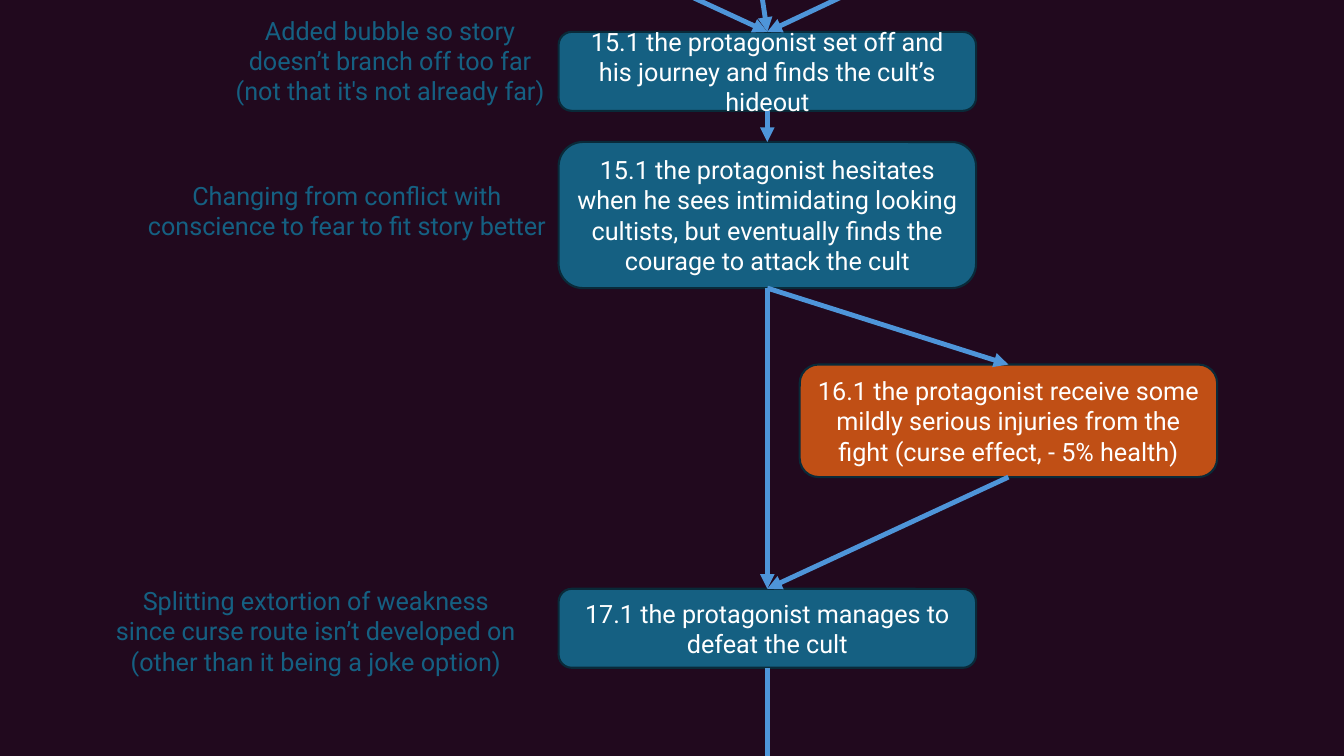
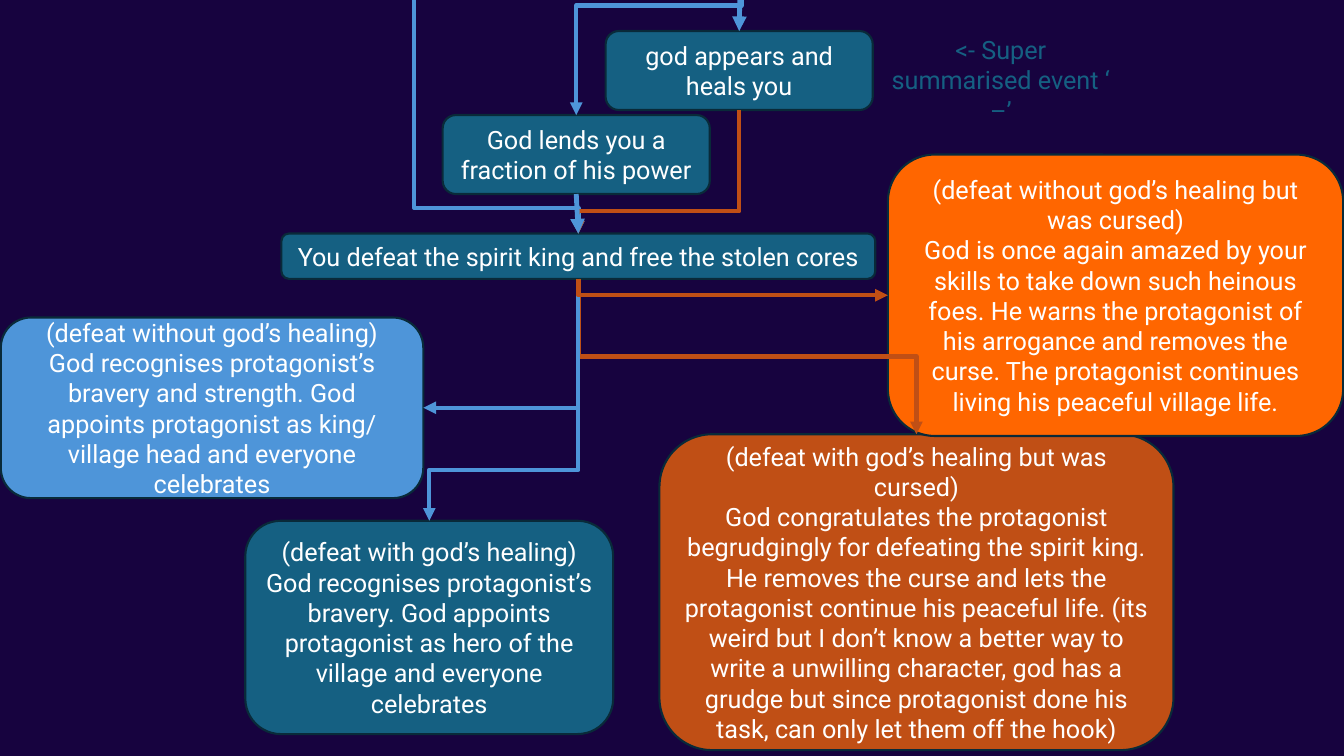
from pptx import Presentation
from pptx.dml.color import RGBColor
from pptx.enum.shapes import MSO_CONNECTOR, MSO_SHAPE
from pptx.enum.text import MSO_ANCHOR, PP_ALIGN
from pptx.oxml.ns import qn
from pptx.util import Inches, Pt
from lxml.etree import SubElement

FONT = "Roboto"
WHITE = RGBColor(0xFF, 0xFF, 0xFF)
TEAL = RGBColor(0x15, 0x60, 0x82)
OUTLINE = RGBColor(0x09, 0x2A, 0x39)
BLUE = RGBColor(0x4E, 0x95, 0xD9)
RUST = RGBColor(0xC0, 0x4F, 0x15)
ORANGE = RGBColor(0xFF, 0x66, 0x00)
PLUM = RGBColor(0x21, 0x09, 0x1E)
INDIGO = RGBColor(0x17, 0x03, 0x3F)

presentation = Presentation()
presentation.slide_width = Inches(13.33)
presentation.slide_height = Inches(7.5)
COLUMN = presentation.slide_width / 160
ROW = presentation.slide_height / 90


def add_text(slide, text, column, row, columns, rows, fill=None):
    area = (round(column * COLUMN), round(row * ROW), round(columns * COLUMN), round(rows * ROW))
    if fill is None:
        shape = slide.shapes.add_textbox(*area)
    else:
        shape = slide.shapes.add_shape(MSO_SHAPE.ROUNDED_RECTANGLE, *area)
        shape.shadow.inherit = False
        shape.fill.solid()
        shape.fill.fore_color.rgb = fill
        shape.line.color.rgb = OUTLINE
        shape.line.width = Pt(1.5)
    frame = shape.text_frame
    frame.word_wrap = True
    frame.vertical_anchor = MSO_ANCHOR.TOP if fill is None else MSO_ANCHOR.MIDDLE
    frame.text = text
    for paragraph in frame.paragraphs:
        paragraph.alignment = PP_ALIGN.CENTER
        paragraph.font.name = FONT
        paragraph.font.size = Pt(18)
        paragraph.font.color.rgb = TEAL if fill is None else WHITE
    return shape


def add_arrow(slide, start, end, color=BLUE, elbow=None, bend=None):
    kind = MSO_CONNECTOR.ELBOW if elbow else MSO_CONNECTOR.STRAIGHT
    connector = slide.shapes.add_connector(kind, 0, 0, 0, 0)
    if hasattr(start[0], "shape_id"):
        connector.begin_connect(*start)
    else:
        connector.begin_x, connector.begin_y = round(start[0] * COLUMN), round(start[1] * ROW)
    if hasattr(end[0], "shape_id"):
        connector.end_connect(*end)
    else:
        connector.end_x, connector.end_y = round(end[0] * COLUMN), round(end[1] * ROW)
    connector.line.color.rgb = color
    connector.line.width = Pt(3 if elbow else 3.5)
    properties = connector._element.spPr
    SubElement(connector.line._get_or_add_ln(), qn("a:tailEnd"), type="triangle")
    SubElement(properties, qn("a:effectLst"))
    if elbow:
        goes_right = connector.end_x > connector.begin_x
        across, down = connector.width, connector.height
        left = connector.left + (across - down) // 2
        top = connector.top + (down - across) // 2
        connector.left, connector.top, connector.width, connector.height = left, top, down, across
        frame = properties.find(qn("a:xfrm"))
        frame.set("rot", "16200000" if goes_right else "5400000")
        frame.set("flipH", "1" if goes_right else "0")
        frame.set("flipV", "0")
        geometry = properties.find(qn("a:prstGeom"))
        geometry.set("prst", elbow)
        if bend is not None:
            guides = geometry.find(qn("a:avLst"))
            if guides is None:
                guides = SubElement(geometry, qn("a:avLst"))
            SubElement(guides, qn("a:gd"), name="adj1", fmla=f"val {round(bend * 100000)}")


TOP, LEFT, BOTTOM, RIGHT = range(4)
ONE_BEND, TWO_BENDS = "bentConnector2", "bentConnector3"

slides = []
for background in (PLUM, INDIGO):
    slide = presentation.slides.add_slide(presentation.slide_layouts[6])
    slide.background.fill.solid()
    slide.background.fill.fore_color.rgb = background
    slides.append(slide)
journey, endings = slides

MAIN, WIDE = 66.5, 49.7
set_off = add_text(journey, "15.1 the protagonist set off and his journey and finds the cult’s hideout",
                   MAIN, 3.8, WIDE, 9.4, fill=TEAL)
hesitates = add_text(journey, "15.1 the protagonist hesitates when he sees intimidating looking cultists, "
                     "but eventually finds the courage to attack the cult",
                     MAIN, 16.9, WIDE, 17.4, fill=TEAL)
injured = add_text(journey, "16.1 the protagonist receive some mildly serious injuries from the fight "
                   "(curse effect, - 5% health)", 95.2, 43.4, WIDE, 13.4, fill=RUST)
victory = add_text(journey, "17.1 the protagonist manages to defeat the cult",
                   MAIN, 70.1, WIDE, 9.4, fill=TEAL)
add_text(journey, "Added bubble so story doesn’t branch off too far (not that it's not already far)",
         26.3, 1.2, 40.3, 12.1)
add_text(journey, "Changing from conflict with conscience to fear to fit story better",
         16.1, 20.9, 50.4, 8.5)
add_text(journey, "Splitting extortion of weakness since curse route isn’t developed on "
         "(other than it being a joke option)", 12.4, 69.1, 50.4, 12.1)

for column in (89.8, 69.1, 113.2):
    add_arrow(journey, (column, -6.5), (set_off, TOP))
for source, target in ((set_off, hesitates), (hesitates, victory), (hesitates, injured), (injured, victory)):
    add_arrow(journey, (source, BOTTOM), (target, TOP))
add_arrow(journey, (victory, BOTTOM), (MAIN + WIDE / 2, 92.6))

appears = add_text(endings, "god appears and heals you", 72.1, 3.7, 31.8, 9.4, fill=TEAL)
lends = add_text(endings, "God lends you a fraction of his power", 52.7, 13.7, 31.8, 9.4, fill=TEAL)
defeat = add_text(endings, "You defeat the spirit king and free the stolen cores",
                  33.5, 27.8, 70.7, 5.4, fill=TEAL)
add_text(endings, "<- Super summarised event ‘ –’", 103.9, 3.5, 30.5, 8.5)
king = add_text(endings, "(defeat without god’s healing)\n"
                "God recognises protagonist’s bravery and strength. God appoints protagonist as king/ "
                "village head and everyone celebrates", 0.1, 37.8, 50.3, 21.5, fill=BLUE)
hero = add_text(endings, "(defeat with god’s healing)\n"
                "God recognises protagonist’s bravery. God appoints protagonist as hero of the village "
                "and everyone celebrates", 29.2, 62, 43.8, 25.4, fill=TEAL)
grudge = add_text(endings, "(defeat with god’s healing but was cursed)\n"
                  "God congratulates the protagonist begrudgingly for defeating the spirit king. "
                  "He removes the curse and lets the protagonist continue his peaceful life. "
                  "(its weird but I don’t know a better way to write a unwilling character, "
                  "god has a grudge but since protagonist done his task, can only let them off the hook)",
                  78.5, 51.7, 61.2, 37.6, fill=RUST)
warned = add_text(endings, "(defeat without god’s healing but was cursed)\n"
                  "God is once again amazed by your skills to take down such heinous foes. "
                  "He warns the protagonist of his arrogance and removes the curse. "
                  "The protagonist continues living his peaceful village life.",
                  105.7, 18.4, 54.2, 33.5, fill=ORANGE)

add_arrow(endings, (49.3, -10.3), (defeat, TOP), elbow=TWO_BENDS, bend=0.92)
add_arrow(endings, (88.3, -12.4), (appears, TOP))
add_arrow(endings, (88.3, -12.4), (lends, TOP), elbow=TWO_BENDS, bend=0.5)
add_arrow(endings, (appears, BOTTOM), (defeat, TOP), color=RUST, elbow=TWO_BENDS, bend=0.82)
add_arrow(endings, (lends, BOTTOM), (defeat, TOP))
add_arrow(endings, (defeat, BOTTOM), (grudge, TOP), color=RUST, elbow=TWO_BENDS, bend=0.5)
add_arrow(endings, (defeat, BOTTOM), (hero, TOP), elbow=TWO_BENDS, bend=0.79)
add_arrow(endings, (defeat, BOTTOM), (king, RIGHT), elbow=ONE_BEND)
add_arrow(endings, (defeat, BOTTOM), (warned, LEFT), color=RUST, elbow=ONE_BEND)

presentation.save("out.pptx")
